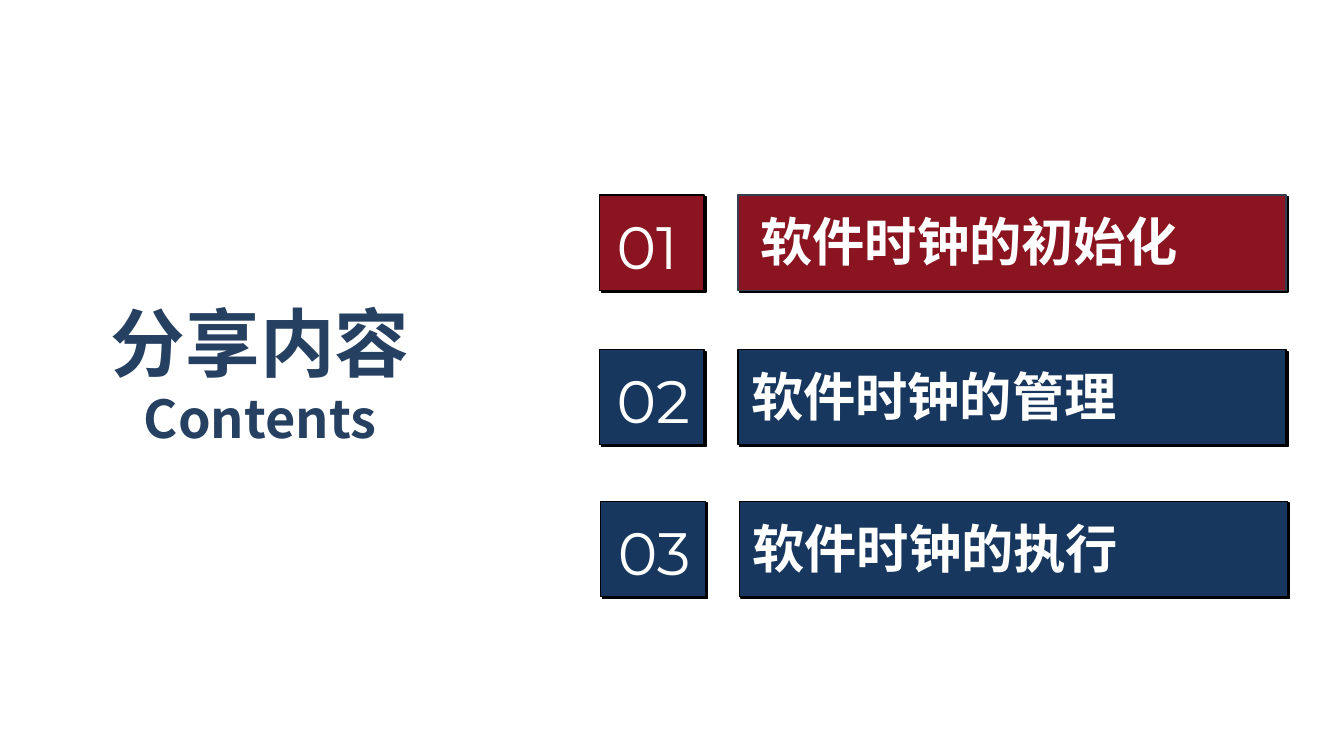
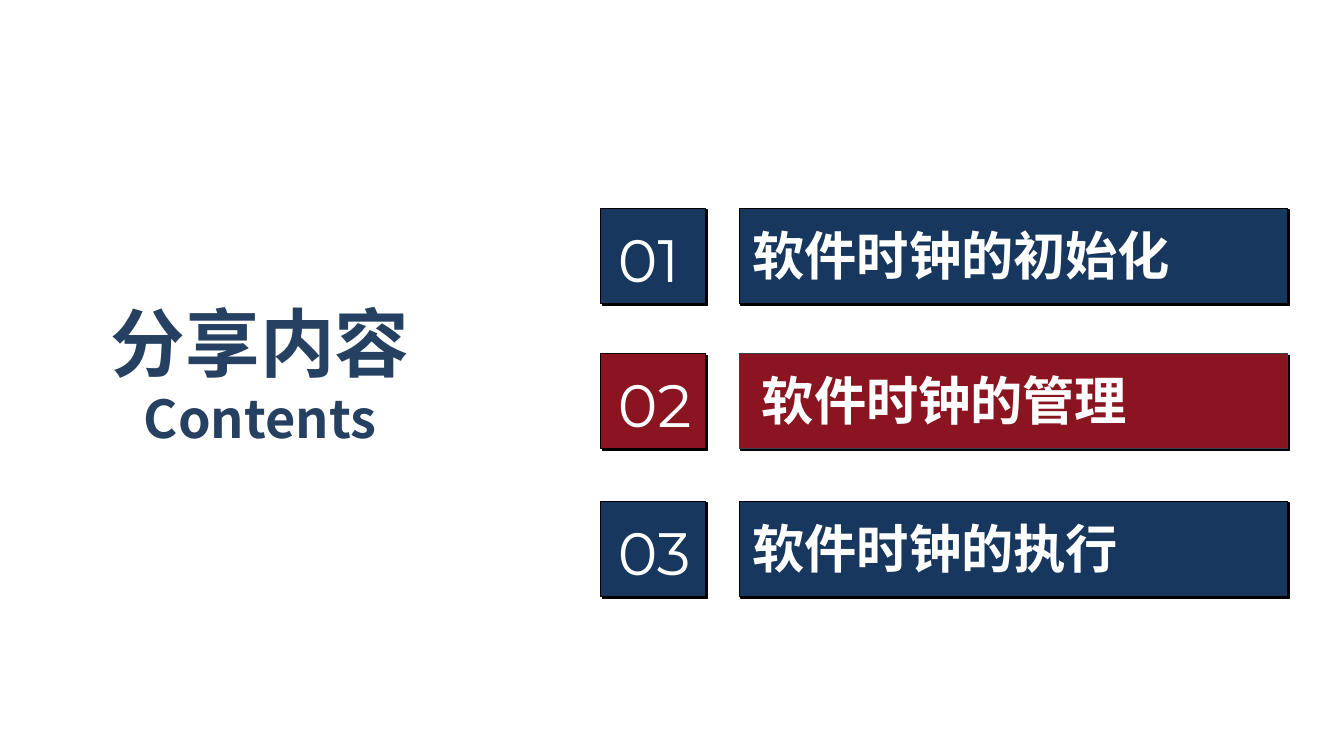
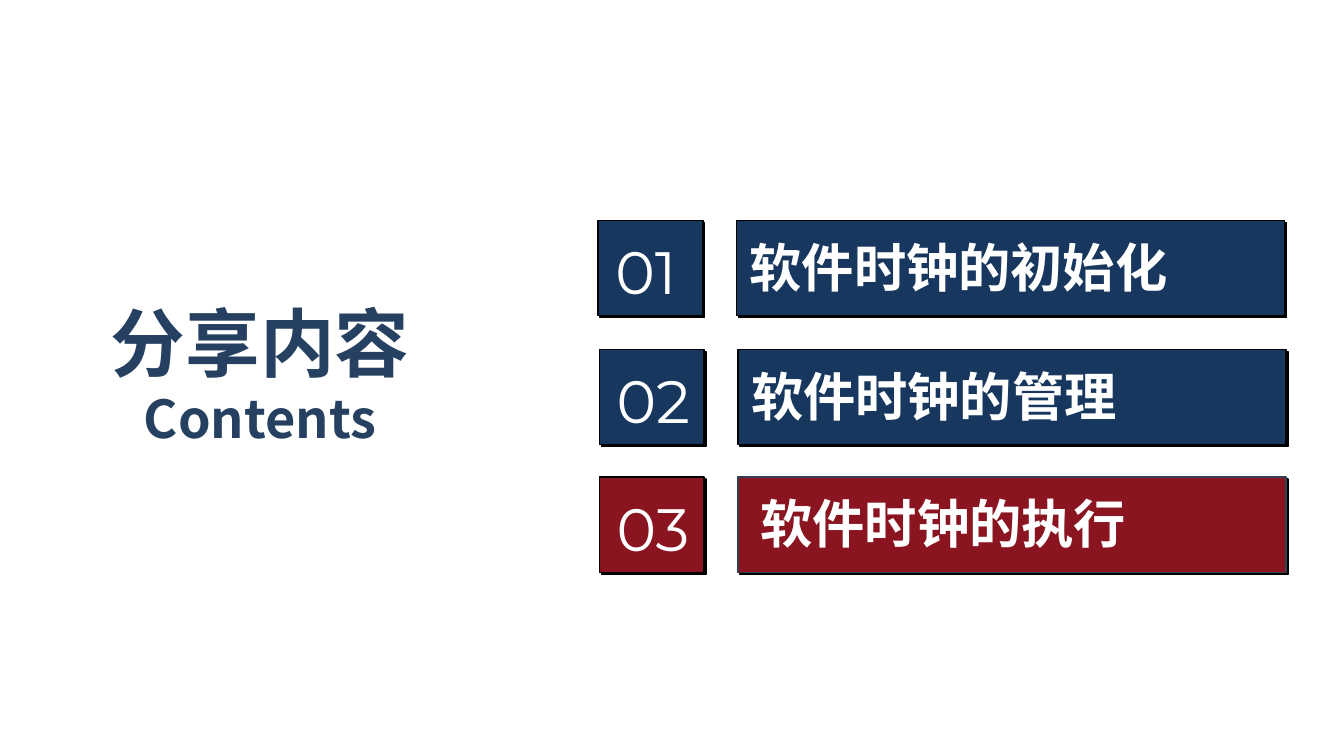
"""Build three agenda slides, each highlighting one section."""
from dataclasses import dataclass

from lxml.etree import SubElement
from pptx import Presentation
from pptx.dml.color import RGBColor
from pptx.enum.shapes import MSO_SHAPE
from pptx.enum.text import MSO_AUTO_SIZE, PP_ALIGN
from pptx.oxml.ns import qn
from pptx.slide import Slide
from pptx.text.text import _Paragraph
from pptx.util import Inches, Pt

NAVY = RGBColor(0x17, 0x37, 0x5E)
RED = RGBColor(0x8A, 0x14, 0x20)
HEADING_BLUE = RGBColor(0x25, 0x40, 0x61)
SLATE = RGBColor(0x32, 0x3F, 0x4F)
BLACK = RGBColor(0, 0, 0)
WHITE = RGBColor(0xFF, 0xFF, 0xFF)

SLIDE_WIDTH = Inches(10)
SLIDE_HEIGHT = SLIDE_WIDTH * 9 // 16

CHINESE_FONT = "Noto Sans CJK SC"
NUMBER_FORMAT = {"name": "Montserrat", "size": Pt(32), "bold": False}
SECTION_FORMAT = {"name": CHINESE_FONT, "size": Pt(28), "bold": True}
HEADING_FORMAT = {"name": CHINESE_FONT, "size": Pt(40), "bold": True}
SUBHEADING_FORMAT = SECTION_FORMAT

SECTIONS = ("软件时钟的初始化", "软件时钟的管理", "软件时钟的执行")
ROW_HEIGHT = 0.71
SECTION_OFFSET = 1.03
NUMBER_INDENT = 0.03
TEXT_DROP = 0.06


@dataclass(frozen=True)
class Row:
    """The top left corner of a section row in inches."""

    left: float
    top: float


@dataclass(frozen=True)
class Agenda:
    """One agenda slide: its active section and the place of each row."""

    active: int
    rows: tuple[Row, ...]


@dataclass(frozen=True)
class Box:
    """A rectangular area in inches."""

    left: float
    top: float
    width: float
    height: float

    def lengths(self) -> tuple[Inches, ...]:
        """Return the area as lengths for python-pptx."""
        return tuple(map(Inches, (self.left, self.top, self.width, self.height)))


AGENDAS = (
    Agenda(active=1, rows=(Row(4.46, 1.45), Row(4.46, 2.6), Row(4.47, 3.73))),
    Agenda(active=2, rows=(Row(4.47, 1.55), Row(4.47, 2.63), Row(4.47, 3.73))),
    Agenda(active=3, rows=(Row(4.45, 1.64), Row(4.46, 2.6), Row(4.46, 3.55))),
)
HEADING_BOX = Box(0.71, 2.16, 2.45, 1.25)


def write(paragraph: _Paragraph, words: str, style: dict, color: RGBColor) -> None:
    """Add styled words to a paragraph, with the font set for East Asian text too."""
    run = paragraph.add_run()
    run.text = words
    for attribute, value in style.items():
        setattr(run.font, attribute, value)
    run.font.color.rgb = color
    SubElement(run.font._element, qn("a:ea"), typeface=style["name"])


def add_panel(slide: Slide, box: Box, fill: RGBColor, border: RGBColor) -> None:
    """Draw a filled rectangle with a hard offset shadow."""
    panel = slide.shapes.add_shape(MSO_SHAPE.RECTANGLE, *box.lengths())
    panel.fill.solid()
    panel.fill.fore_color.rgb = fill
    panel.line.color.rgb = border
    panel.line.width = Pt(0.75)
    panel.shadow.inherit = False
    effects = panel._element.spPr.find(qn("a:effectLst"))
    shadow = SubElement(effects, qn("a:outerShdw"), blurRad="0", dist=str(Pt(1.4)),
                        dir="2700000", algn="tl", rotWithShape="0")
    SubElement(shadow, qn("a:srgbClr"), val=str(BLACK))


def add_label(slide: Slide, box: Box, words: str, style: dict) -> None:
    """Place one line of white text."""
    frame = slide.shapes.add_textbox(*box.lengths()).text_frame
    frame.word_wrap = True
    frame.auto_size = MSO_AUTO_SIZE.SHAPE_TO_FIT_TEXT
    write(frame.paragraphs[0], words, style, WHITE)


def add_heading(slide: Slide) -> None:
    """Place the bilingual contents heading."""
    frame = slide.shapes.add_textbox(*HEADING_BOX.lengths()).text_frame
    frame.word_wrap = False
    frame.auto_size = MSO_AUTO_SIZE.SHAPE_TO_FIT_TEXT
    chinese, english = frame.paragraphs[0], frame.add_paragraph()
    write(chinese, "分享内容", HEADING_FORMAT, HEADING_BLUE)
    write(english, "Contents", SUBHEADING_FORMAT, HEADING_BLUE)
    for paragraph in (chinese, english):
        paragraph.alignment = PP_ALIGN.CENTER


def add_section(slide: Slide, number: int, title: str, row: Row, active: bool) -> None:
    """Draw a numbered section row, in red when it is active."""
    fill = RED if active else NAVY
    indent = 0.07 if active else 0
    text_top = row.top + TEXT_DROP
    section_left = row.left + SECTION_OFFSET
    add_panel(slide, Box(row.left, row.top, 0.78, ROW_HEIGHT), fill, BLACK)
    add_label(slide, Box(row.left + NUMBER_INDENT, text_top, 0.84, 0.64),
              f"{number:02}", NUMBER_FORMAT)
    add_panel(slide, Box(section_left, row.top, 4.08, ROW_HEIGHT), fill,
              SLATE if active else BLACK)
    add_label(slide, Box(section_left + indent, text_top, 4.28 - indent, 0.57),
              title, SECTION_FORMAT)


def main() -> None:
    """Build and save the presentation."""
    deck = Presentation()
    deck.slide_width, deck.slide_height = SLIDE_WIDTH, SLIDE_HEIGHT
    for agenda in AGENDAS:
        slide = deck.slides.add_slide(deck.slide_layouts[6])
        add_heading(slide)
        for number, (title, row) in enumerate(zip(SECTIONS, agenda.rows), start=1):
            add_section(slide, number, title, row, number == agenda.active)
    deck.save("out.pptx")


if __name__ == "__main__":
    main()
